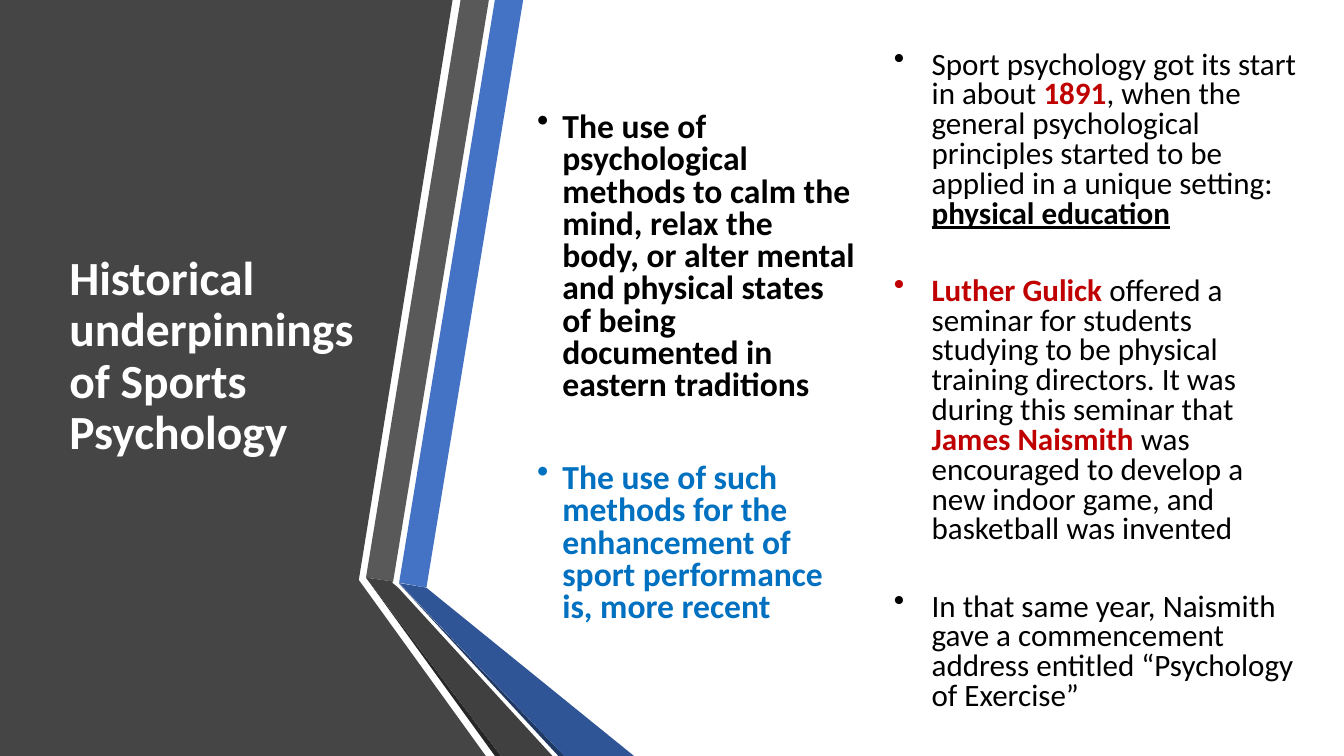
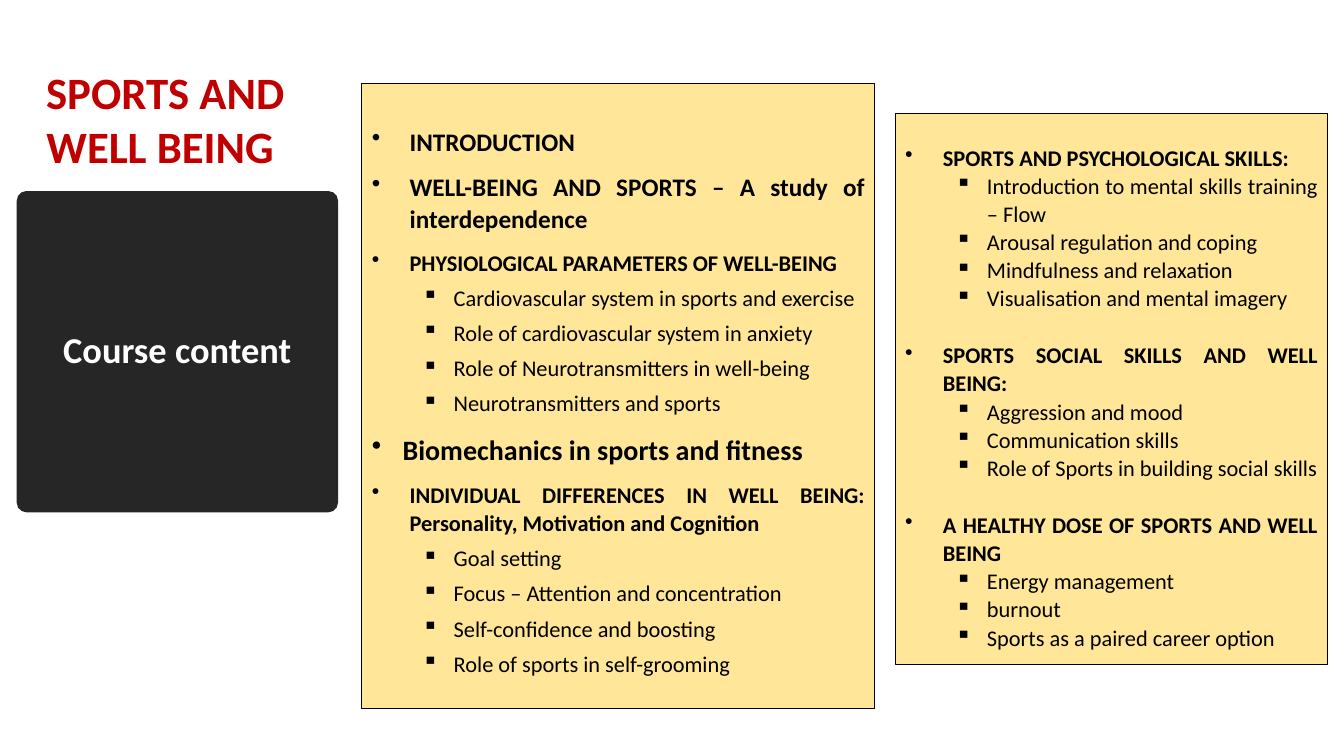
from lxml import etree
from pptx import Presentation
from pptx.dml.color import RGBColor
from pptx.enum.shapes import MSO_SHAPE as SHAPE
from pptx.enum.text import MSO_ANCHOR as ANCHOR, PP_ALIGN as ALIGN
from pptx.oxml.ns import qn
from pptx.util import Pt

# Shared look
FONT = "Calibri"
WHITE, BLACK, RED, BLUE = "FFFFFF", "000000", "C00000", "0070C0"
PANEL, CARD, BADGE = "454545", "FFE699", "262626"

# Angled bands: colour and corner points, back to front
BANDS = [
    (PANEL, [(0, 0), (323.3, 0), (256.3, 414.3), (347, 540), (0, 540)]),
    ("4472C4", [(285.1, 416.2), (304.6, 419.8), (373.7, 0), (353.5, 0)]),
    ("595959", [(349.2, 0), (329, 0), (261.4, 412.6), (280.8, 415.4)]),
    ("262626", [(261.4, 412.6), (353.5, 540), (357.8, 540)]),
    ("203864", [(285.1, 416.9), (398.9, 540), (403.2, 540)]),
    ("2F5597", [(285.1, 416.5), (403.2, 540), (452.9, 540), (304.6, 419.8)]),
    ("404040", [(394.6, 540), (284.4, 419.8), (280.1, 416.2),
                (280.8, 415.4), (261.4, 412.6), (357.8, 540)]),
]


def rgb(value):
    return RGBColor.from_string(value)


def paint(sp, fill, line=None):
    sp.shadow.inherit = False
    sp.fill.solid()
    sp.fill.fore_color.rgb = rgb(fill)
    if line:
        sp.line.color.rgb = rgb(line)
        sp.line.width = Pt(0.75)
    else:
        sp.line.fill.background()


def text_box(s, x, y, w, h, anchor=ANCHOR.TOP):
    tf = s.shapes.add_textbox(Pt(x), Pt(y), Pt(w), Pt(h)).text_frame
    tf.word_wrap = True
    tf.vertical_anchor = anchor
    return tf


def add_par(tf, runs, size, spacing=1, before=0, align=ALIGN.LEFT,
            bullet=None, left=0, hang=0, level=0):
    """Add a paragraph of (text, colour, bold, underlined) runs."""
    first = not tf.paragraphs[0].runs
    p = tf.paragraphs[0] if first else tf.add_paragraph()
    p.alignment, p.level, p.line_spacing = align, level, spacing
    p.space_before = Pt(0 if first else before)
    if bullet:
        ppr = p._p.get_or_add_pPr()
        ppr.set("marL", str(Pt(left)))
        ppr.set("indent", str(-Pt(hang)))
        etree.SubElement(ppr, qn("a:buChar")).set("char", bullet)
    for text, color, bold, underline in runs:
        r = p.add_run()
        r.text = text
        r.font.name, r.font.size = FONT, Pt(size)
        r.font.bold, r.font.underline = bold, underline
        r.font.color.rgb = rgb(color)


def plain(text, color=BLACK):
    return text, color, False, False


def strong(text, color=BLACK, underline=False):
    return text, color, True, underline


# Slide 1: history
def draw_bands(s, x, y):
    for color, points in BANDS:
        start, *rest = [(Pt(x + px), Pt(y + py)) for px, py in points]
        builder = s.shapes.build_freeform(*start, scale=1.0)
        builder.add_line_segments(rest, close=True)
        paint(builder.convert_to_shape(), color)


def bullet_column(s, x, y, w, h, items, size, gap, indent):
    tf = text_box(s, x, y, w, h)
    for runs in items:
        add_par(tf, runs, size, 0.8, gap, bullet="•", left=indent, hang=indent)


def history_slide(prs):
    s = prs.slides.add_slide(prs.slide_layouts[6])
    draw_bands(s, 0, 0)
    tf = text_box(s, 42.5, 54, 219, 401.8, ANCHOR.MIDDLE)
    add_par(tf, [strong("Historical underpinnings of Sports Psychology", WHITE)],
            34, 0.9)
    bullet_column(s, 376.6, 77, 241.2, 401.8, [
        [strong("The use of psychological methods to calm the mind, relax the "
                "body, or alter mental and physical states of being documented "
                "in eastern traditions")],
        [strong("The use of such methods for the enhancement of sport "
                "performance is, more recent", BLUE)],
    ], 24, 43.4, 18)
    bullet_column(s, 631.4, 33, 304, 507, [
        [plain("Sport psychology got its start in about "), strong("1891", RED),
         plain(", when the general psychological principles started to be "
               "applied in a unique setting: "),
         strong("physical education", underline=True)],
        [strong("Luther Gulick", RED),
         plain(" offered a seminar for students studying to be physical training "
               "directors. It was during this seminar that "),
         strong("James Naismith ", RED),
         plain("was encouraged to develop a new indoor game, and basketball was "
               "invented")],
        [plain("In that same year, Naismith gave a commencement address entitled "
               "“Psychology of Exercise”")],
    ], 22.2, 33.7, 27)


# Slide 2: course content
def content_card(s, x, y, w, h, top, topics, topic_gap, item_gap):
    """Draw a card of topics: (heading, size, indent, sub-items)."""
    sp = s.shapes.add_shape(SHAPE.RECTANGLE, Pt(x), Pt(y), Pt(w), Pt(h))
    paint(sp, CARD, BLACK)
    tf = sp.text_frame
    tf.word_wrap = True
    tf.vertical_anchor = ANCHOR.TOP
    tf.margin_top = Pt(top)
    for heading, size, indent, items in topics:
        add_par(tf, [strong(heading)], size, 1.05, topic_gap, ALIGN.JUSTIFY,
                "•", indent, indent)
        for item in items:
            add_par(tf, [plain(item)], 16, 1.05, item_gap, ALIGN.JUSTIFY,
                    "▪", 58.5, 22.5, 1)


def badge(s, x, y, side, text):
    sp = s.shapes.add_shape(SHAPE.ROUNDED_RECTANGLE, Pt(x), Pt(y), Pt(side), Pt(side))
    sp.adjustments[0] = 0.03
    paint(sp, BADGE)
    tf = sp.text_frame
    tf.word_wrap = True
    tf.vertical_anchor = ANCHOR.MIDDLE
    add_par(tf, [strong(text, WHITE)], 26, 0.9, align=ALIGN.CENTER)


def content_slide(prs):
    s = prs.slides.add_slide(prs.slide_layouts[6])
    content_card(s, 639.4, 81.4, 309, 393.1, 20.3, [
        ("SPORTS AND PSYCHOLOGICAL SKILLS:", 16, 27, [
            "Introduction to mental skills training – Flow",
            "Arousal regulation and coping",
            "Mindfulness and relaxation",
            "Visualisation and mental imagery"]),
        ("SPORTS SOCIAL SKILLS AND WELL BEING:", 16, 27, [
            "Aggression and mood",
            "Communication skills",
            "Role of Sports in building social skills"]),
        ("A HEALTHY DOSE OF SPORTS AND WELL BEING", 16, 27, [
            "Energy management",
            "burnout",
            "Sports as a paired career option"]),
    ], 20.5, 0)
    badge(s, 12, 136.5, 229.5, "Course content")
    content_card(s, 258.5, 59.8, 366.5, 446.4, 29, [
        ("INTRODUCTION", 18, 27, []),
        ("WELL-BEING AND SPORTS – A study of interdependence", 18, 27, []),
        ("PHYSIOLOGICAL PARAMETERS OF WELL-BEING", 16, 27, [
            "Cardiovascular system in sports and exercise",
            "Role of cardiovascular system in anxiety",
            "Role of Neurotransmitters in well-being",
            "Neurotransmitters and sports"]),
        ("Biomechanics in sports and fitness", 20, 22, []),
        ("INDIVIDUAL DIFFERENCES IN WELL BEING: Personality, Motivation and "
         "Cognition", 16, 27, [
             "Goal setting",
             "Focus – Attention and concentration",
             "Self-confidence and boosting",
             "Role of sports in self-grooming"]),
    ], 10, 5)
    tf = text_box(s, 0, 42.5, 236.2, 85)
    add_par(tf, [strong("SPORTS AND WELL BEING ", RED)], 32, align=ALIGN.CENTER)


def main():
    prs = Presentation()
    prs.slide_width, prs.slide_height = Pt(960), Pt(540)
    history_slide(prs)
    content_slide(prs)
    prs.save("out.pptx")


if __name__ == "__main__":
    main()
